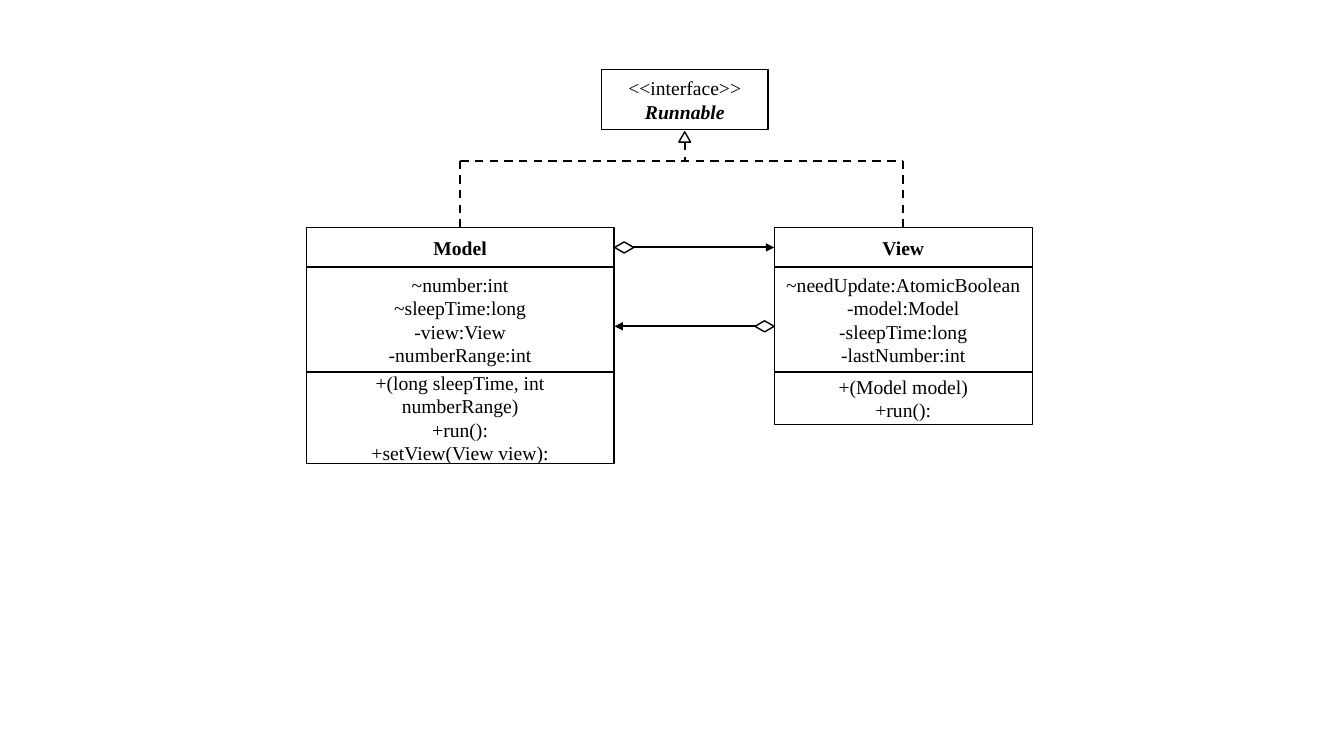
from pptx import Presentation
from pptx.dml.color import RGBColor
from pptx.enum.dml import MSO_LINE
from pptx.enum.shapes import MSO_CONNECTOR, MSO_SHAPE
from pptx.enum.text import MSO_ANCHOR, PP_ALIGN
from pptx.oxml.ns import qn
from pptx.util import Pt
from lxml import etree

RECT, TRIANGLE, DIAMOND = MSO_SHAPE.RECTANGLE, MSO_SHAPE.ISOSCELES_TRIANGLE, MSO_SHAPE.DIAMOND
STRAIGHT, DASH = MSO_CONNECTOR.STRAIGHT, MSO_LINE.DASH
CENTER, MIDDLE = PP_ALIGN.CENTER, MSO_ANCHOR.MIDDLE
BLACK, WHITE = RGBColor(0, 0, 0), RGBColor(255, 255, 255)
FONT = "Times New Roman"
TOP, LEFT = 0, 1  # connection sites

# Content: lines of text in each compartment
INTERFACE = ["<<interface>>", "Runnable"]
MODEL = [
    ["Model"],
    ["~number:int", "~sleepTime:long", "-view:View", "-numberRange:int"],
    ["+(long sleepTime, int numberRange)", "+run():", "+setView(View view):"],
]
VIEW = [
    ["View"],
    ["~needUpdate:AtomicBoolean", "-model:Model", "-sleepTime:long", "-lastNumber:int"],
    ["+(Model model)", "+run():"],
]

# Layout in points
CLASS_TOP, TITLE_H, FIELDS_H = 162.7, 28.1, 74.9
MODEL_X, MODEL_W, MODEL_METHODS_H = 218.8, 219.8, 65.5
VIEW_X, VIEW_W, VIEW_METHODS_H = 553, 184.4, 37.4
DIAMOND_W, DIAMOND_H = 13.7, 7.9
AXIS_X, BRANCH_Y = 489.1, 115.2
UPPER_Y = CLASS_TOP + TITLE_H / 2
LOWER_Y = 233.1

prs = Presentation()
prs.slide_width, prs.slide_height = Pt(960), Pt(540)
slide = prs.slides.add_slide(prs.slide_layouts[6])


def add_outline(parent, kind, x, y, w, h):
    shape = parent.add_shape(kind, Pt(x), Pt(y), Pt(w), Pt(h))
    shape.shadow.inherit = False
    shape.fill.solid()
    shape.fill.fore_color.rgb = WHITE
    shape.line.color.rgb = BLACK
    shape.line.width = Pt(1)
    return shape


def write(shape, lines, size=14, bold_line=None, italic=False):
    frame = shape.text_frame
    frame.word_wrap = True
    frame.vertical_anchor = MIDDLE
    for i, line in enumerate(lines):
        paragraph = frame.paragraphs[0] if i == 0 else frame.add_paragraph()
        paragraph.alignment = CENTER
        run = paragraph.add_run()
        run.text = line
        run.font.name, run.font.size = FONT, Pt(size)
        run.font.color.rgb = BLACK
        run.font.bold = i == bold_line
        run.font.italic = italic and i == bold_line


def add_class(compartments, x, w, methods_h):
    """Stack the compartments in a group and return the title box."""
    group = slide.shapes.add_group_shape()
    boxes, y = [], CLASS_TOP
    for i, (lines, h) in enumerate(zip(compartments, (TITLE_H, FIELDS_H, methods_h))):
        box = add_outline(group.shapes, RECT, x, y, w, h)
        write(box, lines, bold_line=0 if i == 0 else None)
        boxes.append(box)
        y += h
    return boxes[0]


def add_line(x1, y1, x2, y2, dashed=False, arrow=False):
    line = slide.shapes.add_connector(STRAIGHT, Pt(x1), Pt(y1), Pt(x2), Pt(y2))
    line.line.color.rgb = BLACK
    line.line.width = Pt(1.5)
    if dashed:
        line.line.dash_style = DASH
    if arrow:
        etree.SubElement(line.line._get_or_add_ln(), qn("a:tailEnd"), type="triangle")
    etree.SubElement(line._element.spPr, qn("a:effectLst"))
    return line


# Classes and interface
model_title = add_class(MODEL, MODEL_X, MODEL_W, MODEL_METHODS_H)
runnable = add_outline(slide.shapes, RECT, 429.8, 49.5, 118.8, 43)
write(runnable, INTERFACE, bold_line=1, italic=True)
add_outline(slide.shapes, TRIANGLE, AXIS_X - 4.2, 94.2, 8.4, 7.3)
view_title = add_class(VIEW, VIEW_X, VIEW_W, VIEW_METHODS_H)

# Aggregations between Model and View
for diamond_x, y in ((439, UPPER_Y), (VIEW_X - DIAMOND_W, LOWER_Y)):
    add_outline(slide.shapes, DIAMOND, diamond_x, y - DIAMOND_H / 2, DIAMOND_W, DIAMOND_H)
model_to_view = add_line(452.5, UPPER_Y, VIEW_X, UPPER_Y, arrow=True)
model_to_view.end_connect(view_title, LEFT)
add_line(539.8, LOWER_Y, 439, LOWER_Y, arrow=True)

# Dashed realization of Runnable
model_mid, view_mid = MODEL_X + MODEL_W / 2, VIEW_X + VIEW_W / 2
add_line(AXIS_X, 101.5, AXIS_X, BRANCH_Y, dashed=True)
add_line(model_mid, BRANCH_Y, view_mid, BRANCH_Y, dashed=True)
for title, x in ((model_title, model_mid), (view_title, view_mid)):
    stem = add_line(x, CLASS_TOP, x, BRANCH_Y, dashed=True)
    stem.begin_connect(title, TOP)

prs.save("out.pptx")
